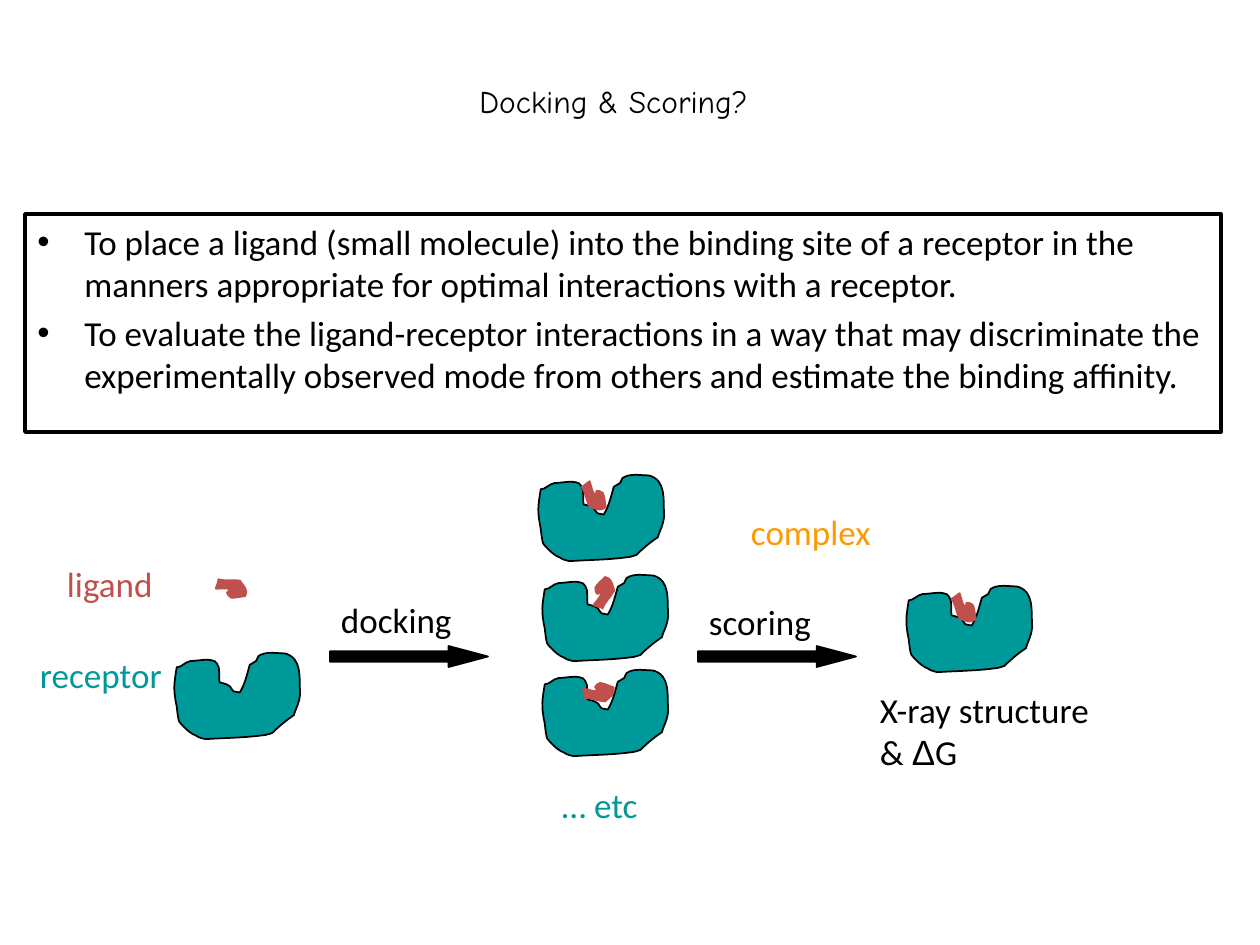
from lxml import etree
from pptx import Presentation
from pptx.dml.color import RGBColor
from pptx.enum.shapes import MSO_SHAPE
from pptx.enum.text import MSO_ANCHOR
from pptx.oxml.ns import qn
from pptx.util import Emu, Pt

EMU_PER_PX = 914400 / 126
EMU_PER_OUTLINE_UNIT = 9144
BLACK, WHITE, TEAL, RED, ORANGE = "000000", "FFFFFF", "009999", "C0504D", "FF9900"

# Outlines in hundredths of an inch: a start point, then Bezier triples.
RECEPTOR = [
    (3, 13),
    (1, 26), (0, 30), (3, 44), (3, 44), (4, 54), (5, 56),
    (7, 59), (14, 66), (18, 67), (20, 69), (26, 70), (26, 70),
    (41, 69), (56, 69), (71, 67), (74, 67), (79, 65), (79, 65),
    (84, 60), (90, 55), (96, 51), (98, 44), (100, 43), (101, 34),
    (100, 21), (103, 6), (89, 2), (82, 2), (74, 0), (68, 4),
    (67, 5), (67, 7), (66, 8), (64, 10), (63, 10), (61, 11),
    (59, 18), (57, 27), (53, 33), (51, 32), (49, 33), (48, 32),
    (46, 31), (46, 28), (45, 28), (43, 26), (37, 25), (37, 25),
    (36, 20), (38, 14), (35, 10), (34, 7), (27, 7), (27, 7),
    (23, 7), (18, 8), (14, 8), (9, 9), (7, 13), (3, 13),
]
LIGAND = [
    (10, 0),
    (8, 5), (3, 9), (0, 14), (2, 20), (1, 23), (7, 25),
    (10, 22), (13, 20), (15, 17), (15, 15), (15, 13), (14, 12),
    (13, 11), (11, 14), (11, 13), (9, 11), (16, 5), (17, 3),
    (15, 2), (10, 1), (10, 0),
]
MIRRORED_LIGAND = [(x, 25 - y) for x, y in LIGAND]

GOALS = [
    "To place a ligand (small molecule) into the binding site of a receptor in the "
    "manners appropriate for optimal interactions with a receptor.",
    "To evaluate the ligand-receptor interactions in a way that may discriminate the "
    "experimentally observed mode from others and estimate the binding affinity.",
]


def px(value):
    """Turn pixels into EMU."""
    return Emu(round(value * EMU_PER_PX))


def rgb(color):
    """Turn a hex string into a colour."""
    return RGBColor.from_string(color)


def paint(shape, fill, line, width=1):
    """Set fill and line, and drop the shadow."""
    shape.shadow.inherit = False
    shape.fill.solid()
    shape.fill.fore_color.rgb = rgb(fill)
    shape.line.color.rgb = rgb(line)
    shape.line.width = Pt(width)


def add_run(paragraph, text, color=BLACK, size=20, font="Calibri"):
    """Append one formatted run."""
    run = paragraph.add_run()
    run.text = text
    run.font.name = font
    run.font.size = Pt(size)
    run.font.color.rgb = rgb(color)


def add_label(slide, box, lines, color=BLACK, size=20, font="Calibri", inset=(0, 0)):
    """Add an unwrapped text box; each line is a string or a list of (text, font)."""
    frame = slide.shapes.add_textbox(*map(px, box)).text_frame
    frame.word_wrap = False
    frame.margin_left = frame.margin_right = Pt(inset[0])
    frame.margin_top = frame.margin_bottom = Pt(inset[1])
    for i, line in enumerate(lines):
        paragraph = frame.add_paragraph() if i else frame.paragraphs[0]
        for text, face in [(line, font)] if isinstance(line, str) else line:
            add_run(paragraph, text, color, size, face)


def add_bullet_box(slide, box, items):
    """Add the framed bullet list."""
    shape = slide.shapes.add_shape(MSO_SHAPE.RECTANGLE, *map(px, box))
    paint(shape, WHITE, BLACK, 2)
    frame = shape.text_frame
    frame.word_wrap = True
    frame.vertical_anchor = MSO_ANCHOR.TOP
    for i, item in enumerate(items):
        paragraph = frame.add_paragraph() if i else frame.paragraphs[0]
        paragraph.space_before = Pt(4)
        props = paragraph._p.get_or_add_pPr()
        props.set("algn", "l")
        props.set("marL", str(px(47)))
        props.set("indent", str(-px(47)))
        etree.SubElement(props, qn("a:buFont")).set("typeface", "Arial")
        etree.SubElement(props, qn("a:buChar")).set("char", "\u2022")
        add_run(paragraph, item)


def bend(shape):
    """Join each three line segments of a freeform into one Bezier curve."""
    path = shape._element.find(".//" + qn("a:path"))
    segments = path.findall(qn("a:lnTo"))
    for i in range(0, len(segments), 3):
        curve = path.makeelement(qn("a:cubicBezTo"))
        segments[i].addprevious(curve)
        for segment in segments[i:i + 3]:
            curve.append(segment[0])
            path.remove(segment)


def add_outline(slide, outline, left, top, fill, line, rotation=0):
    """Add a closed curved outline, turned about its centre."""
    builder = slide.shapes.build_freeform(*outline[0], scale=EMU_PER_OUTLINE_UNIT)
    builder.add_line_segments(outline[1:], close=True)
    shape = builder.convert_to_shape(px(left), px(top))
    bend(shape)
    shape.rotation = rotation
    paint(shape, fill, line)


def add_receptor(slide, left, top):
    """Add one receptor."""
    add_outline(slide, RECEPTOR, left, top, TEAL, BLACK)


def add_ligand(slide, left, top, rotation, outline=LIGAND):
    """Add one ligand."""
    add_outline(slide, outline, left, top, RED, RED, rotation)


def add_arrow(slide, left):
    """Add one step arrow."""
    arrow = slide.shapes.add_shape(MSO_SHAPE.RIGHT_ARROW, *map(px, (left, 646, 158, 21)))
    arrow.adjustments[0] = 0.5
    arrow.adjustments[1] = 1.875
    paint(arrow, BLACK, BLACK)


def main():
    """Build the slide."""
    deck = Presentation()
    deck.slide_width, deck.slide_height = px(1260), px(945)
    slide = deck.slides.add_slide(deck.slide_layouts[6])

    add_bullet_box(slide, (25, 214, 1196, 218), GOALS)

    add_receptor(slide, 173, 651)
    add_ligand(slide, 221, 572, 128.8, MIRRORED_LIGAND)
    complexes = [
        ((537, 473), (583, 481, 303.2)),
        ((541, 573), (593, 577, 177.7)),
        ((541, 668), (588, 677, 243.2)),
        ((905, 584), (953, 593, 303.2)),
    ]
    for receptor, ligand in complexes:
        add_receptor(slide, *receptor)
        add_ligand(slide, *ligand)
    for left in (330, 698):
        add_arrow(slide, left)

    labels = [
        ("ligand", 67, 562, 87, RED),
        ("receptor", 40, 653, 123, TEAL),
        ("complex", 751, 510, 121, ORANGE),
        ("docking", 341, 598, 112, BLACK),
        ("scoring", 709, 600, 103, BLACK),
        ("\u2026 etc", 562, 783, 77, TEAL),
    ]
    for text, left, top, width, color in labels:
        add_label(slide, (left, top, width, 43), [text], color)
    energy = [("& ", "Calibri"), ("\u0394", "Arial"), ("G", "Calibri")]
    add_label(slide, (880, 688, 213, 84), ["X-ray structure", energy])
    add_label(slide, (467, 76, 310, 50), ["Docking & Scoring?"],
              size=18, font="Comic Neue", inset=(7.2, 3.6))

    deck.save("out.pptx")


main()
